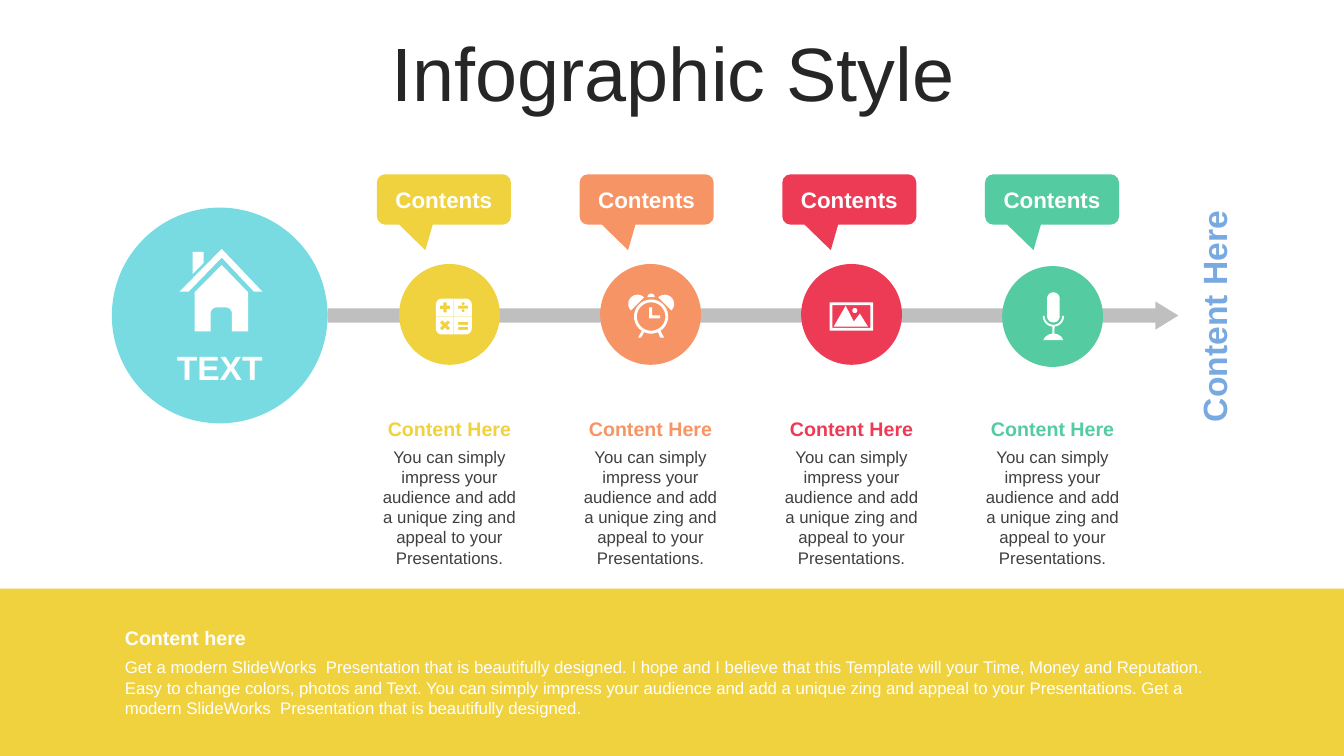
from dataclasses import dataclass
from math import cos, radians, sin

from pptx import Presentation
from pptx.dml.color import RGBColor
from pptx.enum.shapes import MSO_SHAPE
from pptx.enum.text import MSO_ANCHOR, PP_ALIGN
from pptx.util import Pt


@dataclass(frozen=True)
class Theme:
    font: str = "Arial"
    yellow: str = "F0D23F"
    orange: str = "F79465"
    red: str = "ED3B55"
    green: str = "54CBA0"
    cyan: str = "77DBE1"
    blue: str = "78AAE1"
    grey: str = "BFBFBF"
    white: str = "FFFFFF"
    title_ink: str = "262626"
    body_ink: str = "404040"
    title_size: int = 54
    label_size: int = 24
    callout_size: int = 16
    heading_size: int = 14
    body_size: int = 12


THEME = Theme()


def arc(cx, cy, radius, start, end, steps=24):
    """Points along an arc; angles in degrees, clockwise from the right."""
    angles = [radians(start + (end - start) * i / steps) for i in range(steps + 1)]
    return [(cx + radius * cos(a), cy + radius * sin(a)) for a in angles]


def disc(cx, cy, radius):
    return arc(cx, cy, radius, 0, 360)


def box(left, top, right, bottom):
    return [(left, top), (right, top), (right, bottom), (left, bottom)]


def round_square(side, radius):
    far = side - radius
    corners = [(radius, radius), (far, radius), (far, far), (radius, far)]
    return [point for i, (cx, cy) in enumerate(corners)
            for point in arc(cx, cy, radius, 180 + 90 * i, 270 + 90 * i, 8)]


def cross(cx, cy, arm, half, turn=0):
    """Outline of a plus sign, turned by the given degrees."""
    points = []
    for quarter in range(4):
        a = radians(turn + 90 * quarter)
        for x, y in [(half, -half), (arm, -half), (arm, half)]:
            points.append((cx + x * cos(a) - y * sin(a), cy + x * sin(a) + y * cos(a)))
    return points


# Each icon is a list of outlines; an outline inside another cuts a hole.
HOUSE = [
    [(30.2, 11.5), (49, 31), (49, 59), (37.4, 59)]
    + arc(33.1, 46.1, 4.3, 360, 270) + arc(26.6, 46.1, 4.3, 270, 180)
    + [(22.3, 59), (10.8, 59), (10.8, 31)],
    [(9.4, 2.2), (17.3, 2.2), (17.3, 10.1), (9.4, 18)],
    [(30.2, 0), (59.3, 30.6), (53.3, 30.6), (30.2, 6.2), (6.5, 30.6), (0, 30.6)],
]
CALCULATOR = [
    round_square(25.6, 4.3),
    box(12.6, 0, 13, 25.6), box(0, 12.6, 12.6, 13), box(13, 12.6, 25.6, 13),
    cross(6.5, 6.3, 3.6, 1.2), cross(6.5, 19.1, 4, 1.2, 45),
    disc(19.4, 3.6, 1.1), box(15.8, 5, 23, 7.2), disc(19.4, 8.6, 1.1),
    box(15.8, 16.6, 23, 18.7), box(15.8, 20.2, 23, 22.3),
]
CLOCK = [
    arc(15.8, 16.6, 12.2, 123, 417) + [(25.2, 31.7), (22.3, 31.7)]
    + arc(15.8, 16.6, 12.2, 66, 114) + [(8.6, 31.7), (6.5, 31.7)],
    disc(15.8, 16.6, 10.2),
    [(14.4, 10.1), (16.6, 10.1), (16.6, 15.8), (22.3, 15.8), (22.3, 18), (14.4, 18)],
    arc(6.1, 7.6, 6.6, 135, 315), arc(25.6, 7.6, 6.6, 225, 405),
    arc(15.8, 2.8, 2.6, 180, 360),
]
PHOTO = [
    box(0, 0, 31, 20.2), box(1.9, 1.9, 29.1, 18.3), disc(18, 5.8, 1.8),
    [(11.5, 2.4), (17.3, 13.7), (21.6, 8), (27.4, 17.3), (2.9, 17.3)],
]
MICROPHONE = [
    arc(8, 4.5, 4.5, 180, 360) + arc(8, 17, 4.5, 0, 180),
    arc(8, 16.9, 7.6, 0, 84)
    + [(8.7, 29.5), (11, 30), (13.7, 31.7), (15.1, 34.2),
       (0.7, 34.2), (2.2, 31.7), (5, 30), (7.2, 29.5)]
    + arc(8, 16.9, 7.6, 96, 180) + arc(8, 16.9, 6.3, 180, 0),
]

TITLE = "Infographic Style"
START_LABEL = "TEXT"
END_LABEL = "Content Here"
CALLOUT = "Contents"
STEP_HEADING = "Content Here"
STEP_BODY = ("You can simply impress your audience and add a unique zing "
             "and appeal to your Presentations.")
FOOTER_HEADING = "Content here"
FOOTER_BODY = (
    "Get a modern SlideWorks  Presentation that is beautifully designed. I hope and I believe "
    "that this Template will your Time, Money and Reputation. Easy to change colors, photos and "
    "Text. You can simply impress your audience and add a unique zing and appeal to your "
    "Presentations. Get a modern SlideWorks  Presentation that is beautifully designed."
)
# colour, top of the disc, icon, icon position
STEPS = [
    (THEME.yellow, 188.6, CALCULATOR, (311.4, 213.3)),
    (THEME.orange, 188.6, CLOCK, (449.3, 209.5)),
    (THEME.red, 188.6, PHOTO, (592.6, 216)),
    (THEME.green, 190.1, MICROPHONE, (744.5, 208.8)),
]
STEP_GAP = 143.6
CALLOUT_GAP = 144.8


def write(frame, text, size, color, bold=False, align=PP_ALIGN.LEFT, anchor=MSO_ANCHOR.MIDDLE):
    frame.word_wrap = True
    frame.vertical_anchor = anchor
    paragraph = frame.paragraphs[0]
    paragraph.alignment = align
    run = paragraph.add_run()
    run.text = text
    run.font.name = THEME.font
    run.font.size = Pt(size)
    run.font.bold = bold
    run.font.color.rgb = RGBColor.from_string(color)
    return paragraph


def paint(shape, color):
    shape.shadow.inherit = False
    shape.fill.solid()
    shape.fill.fore_color.rgb = RGBColor.from_string(color)
    shape.line.fill.background()
    return shape


def add_preset(slide, preset, bounds, color, adjustments=()):
    shape = slide.shapes.add_shape(preset, *map(Pt, bounds))
    for i, value in enumerate(adjustments):
        shape.adjustments[i] = value
    return paint(shape, color)


def add_text(slide, bounds, *args, **options):
    label = slide.shapes.add_textbox(*map(Pt, bounds))
    write(label.text_frame, *args, **options)
    return label


def add_icon(slide, outlines, origin):
    left, top = origin
    placed = [[(Pt(left + x), Pt(top + y)) for x, y in outline] for outline in outlines]
    builder = slide.shapes.build_freeform(*placed[0][0])
    for i, outline in enumerate(placed):
        if i:
            builder.move_to(*outline[0])
        builder.add_line_segments(outline[1:], close=True)
    paint(builder.convert_to_shape(), THEME.white)


def add_step(slide, index, color, disc_top, icon, icon_origin):
    center = PP_ALIGN.CENTER
    shift = index * STEP_GAP
    add_preset(slide, MSO_SHAPE.OVAL, (285.1 + shift, disc_top, 72, 72), color)
    add_icon(slide, icon, icon_origin)
    add_text(slide, (264.2 + shift, 293.8, 113.8, 24.5), STEP_HEADING,
             THEME.heading_size, color, bold=True, align=center)
    add_text(slide, (264.2 + shift, 315.4, 113.8, 94.3), STEP_BODY,
             THEME.body_size, THEME.body_ink, align=center, anchor=MSO_ANCHOR.TOP)
    callout = add_preset(slide, MSO_SHAPE.ROUNDED_RECTANGULAR_CALLOUT,
                         (269.2 + index * CALLOUT_GAP, 124.5, 95.8, 36), color,
                         (-0.138, 1.006, 0.167))
    write(callout.text_frame, CALLOUT, THEME.callout_size, THEME.white, bold=True, align=center)


def main():
    presentation = Presentation()
    presentation.slide_width, presentation.slide_height = Pt(960), Pt(540)
    slide = presentation.slides.add_slide(presentation.slide_layouts[5])
    center = PP_ALIGN.CENTER

    title = slide.shapes.title
    title.left, title.top, title.width, title.height = map(Pt, (25.2, 26.6, 911.5, 56.9))
    heading = write(title.text_frame, TITLE, THEME.title_size, THEME.title_ink, align=center)
    heading.line_spacing = 0.9

    add_preset(slide, MSO_SHAPE.RECTANGLE, (0, 420.5, 960, 119.5), THEME.yellow)
    add_text(slide, (82.1, 443.5, 805, 24.5), FOOTER_HEADING,
             THEME.heading_size, THEME.white, bold=True)
    add_text(slide, (82.1, 465.8, 805, 51.1), FOOTER_BODY,
             THEME.body_size, THEME.white, anchor=MSO_ANCHOR.TOP)

    add_preset(slide, MSO_SHAPE.RIGHT_ARROW, (234, 215.3, 607.7, 20.2), THEME.grey, (0.5, 0.812))
    add_preset(slide, MSO_SHAPE.OVAL, (79.9, 148.3, 154.1, 154.1), THEME.cyan)
    add_icon(slide, HOUSE, (128.2, 177.8))
    add_text(slide, (117.4, 244.1, 79.2, 36), START_LABEL,
             THEME.label_size, THEME.white, bold=True, align=center)
    end_label = add_text(slide, (782.6, 208.1, 168.5, 36), END_LABEL,
                         THEME.label_size, THEME.blue, bold=True, align=center)
    end_label.rotation = 270

    for index, step in enumerate(STEPS):
        add_step(slide, index, *step)
    presentation.save("out.pptx")


if __name__ == "__main__":
    main()
